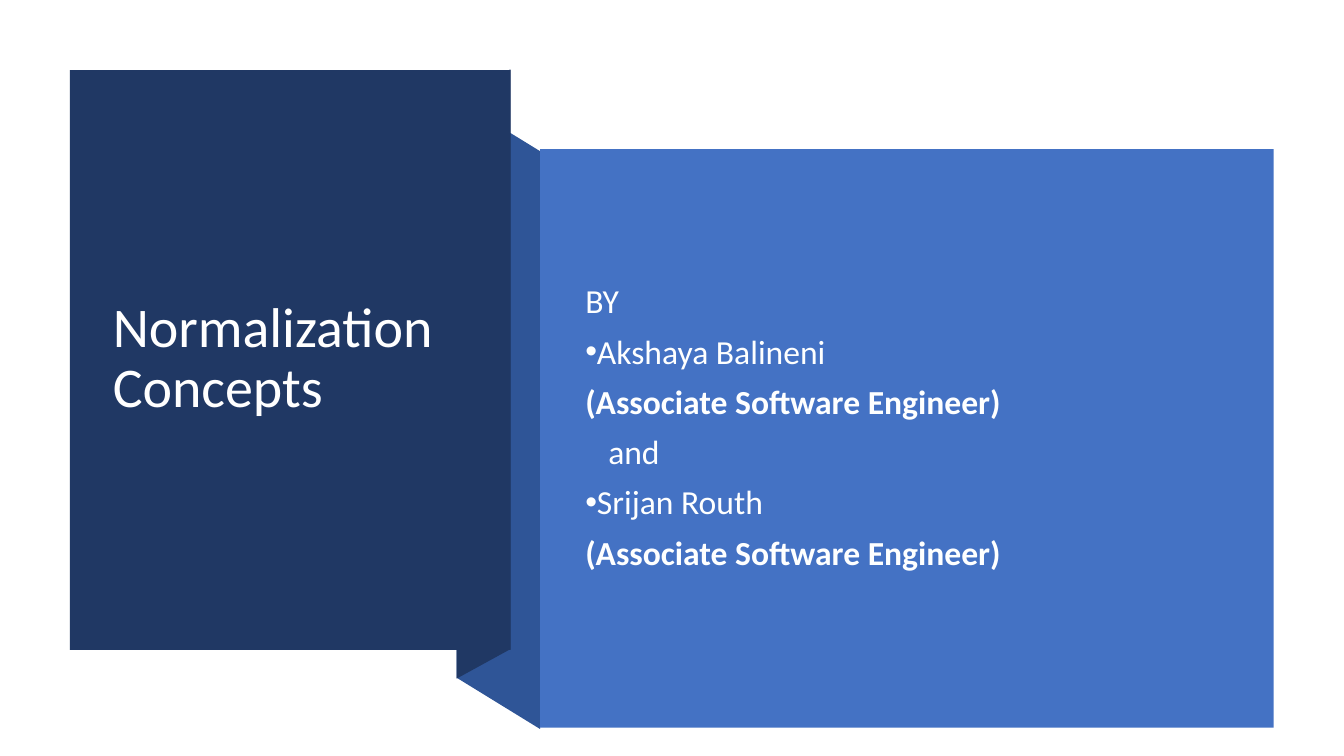
from lxml import etree
from pptx import Presentation
from pptx.dml.color import RGBColor
from pptx.enum import shapes, text
from pptx.oxml import ns
from pptx.util import Cm, Pt

NAVY = RGBColor(0x20, 0x38, 0x64)
FOLD_BLUE = RGBColor(0x2F, 0x55, 0x97)
BLUE = RGBColor(0x44, 0x72, 0xC4)
WHITE = RGBColor(0xFF, 0xFF, 0xFF)
OFF_WHITE = RGBColor(0xFE, 0xFF, 0xFF)
FONT = "Calibri"

HEADING = "Normalization Concepts"
ROLE = "(Associate Software Engineer)"
BYLINE = [
    ("BY", "plain"),
    ("Akshaya Balineni", "name"),
    (ROLE, "role"),
    ("and", "joiner"),
    ("Srijan Routh", "name"),
    (ROLE, "role"),
]
INDENTS = {"name": (Cm(0), Cm(-0.64)), "joiner": (Cm(0.58), Cm(0))}

FOLDS = [
    (FOLD_BLUE, [(13.61, 18.37), (11.51, 17.08), (11.51, 2.52), (13.61, 3.81)]),
    (NAVY, [(12.86, 16.36), (11.51, 17.1), (11.51, 2.49), (12.86, 1.75)]),
]
PANELS = [
    (NAVY, (1.76, 1.77, 11.11, 14.61)),
    (BLUE, (13.61, 3.76, 18.49, 14.58)),
]
HEADING_BOX = (2.59, 2.72, 9.42, 12.67)
BYLINE_BOX = (14.5, 4.78, 16.54, 12.04)


def paint(part, colour):
    part.shadow.inherit = False
    part.fill.solid()
    part.fill.fore_color.rgb = colour
    part.line.fill.background()


def set_frame(frame):
    frame.word_wrap = True
    frame.auto_size = text.MSO_AUTO_SIZE.NONE
    frame.vertical_anchor = text.MSO_ANCHOR.MIDDLE


def style(paragraph, size, colour, bold=False):
    paragraph.alignment = text.PP_ALIGN.LEFT
    paragraph.line_spacing = 0.9
    paragraph.font.name = FONT
    paragraph.font.size = Pt(size)
    paragraph.font.bold = bold
    paragraph.font.color.rgb = colour


deck = Presentation()
deck.slide_width, deck.slide_height = Cm(33.87), Cm(19.05)
slide = deck.slides.add_slide(deck.slide_layouts[5])

for colour, corners in FOLDS:
    start, *others = [(Cm(x), Cm(y)) for x, y in corners]
    outline = slide.shapes.build_freeform(*start)
    outline.add_line_segments(others, close=True)
    paint(outline.convert_to_shape(), colour)

for colour, box in PANELS:
    panel = slide.shapes.add_shape(shapes.MSO_SHAPE.RECTANGLE, *map(Cm, box))
    paint(panel, colour)

heading = slide.shapes.title
heading.left, heading.top, heading.width, heading.height = map(Cm, HEADING_BOX)
heading.text_frame.text = HEADING
set_frame(heading.text_frame)
style(heading.text_frame.paragraphs[0], 40, WHITE)
heading.element.getparent().append(heading.element)

byline = slide.shapes.add_textbox(*map(Cm, BYLINE_BOX)).text_frame
set_frame(byline)
byline.text = "\n".join(words for words, role in BYLINE)
for paragraph, (words, role) in zip(byline.paragraphs, BYLINE):
    style(paragraph, 24, OFF_WHITE, role == "role")
    paragraph.space_before = Pt(10)
    properties = paragraph._p.get_or_add_pPr()
    margin, indent = INDENTS.get(role, (Cm(0), Cm(0)))
    properties.set("marL", str(int(margin)))
    properties.set("indent", str(int(indent)))
    if role == "name":
        bullet_font = etree.Element(ns.qn("a:buFont"), typeface="Arial")
        bullet = etree.Element(ns.qn("a:buChar"), char="•")
        defaults = properties.find(ns.qn("a:defRPr"))
        defaults.addprevious(bullet_font)
        defaults.addprevious(bullet)

deck.save("out.pptx")
